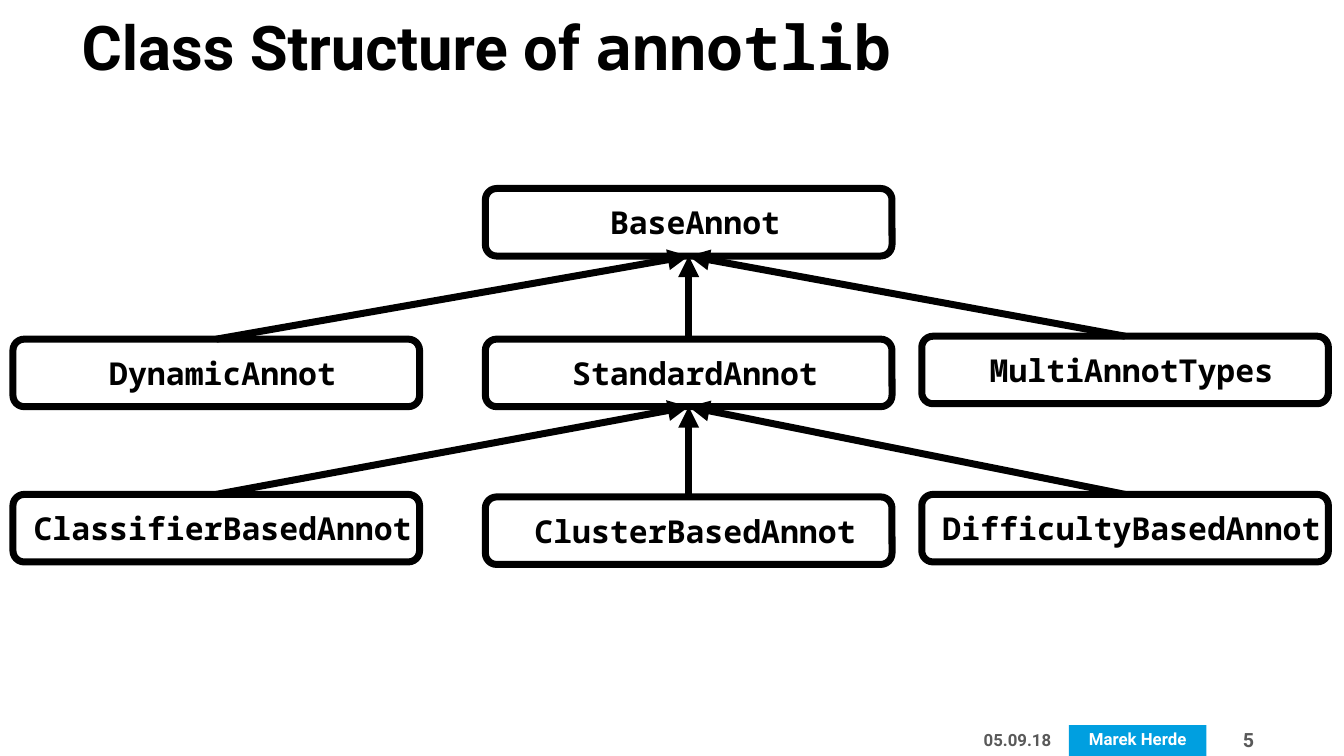
from dataclasses import dataclass

from lxml.etree import SubElement
from pptx import Presentation
from pptx.dml.color import RGBColor
from pptx.enum.shapes import MSO_CONNECTOR as Connector, MSO_SHAPE as Shape
from pptx.enum.text import MSO_ANCHOR as Anchor, MSO_AUTO_SIZE as AutoSize, PP_ALIGN as Align
from pptx.oxml.ns import qn
from pptx.util import Pt


@dataclass(frozen=True)
class Theme:
    black: RGBColor = RGBColor(0, 0, 0)
    white: RGBColor = RGBColor(255, 255, 255)
    gray: RGBColor = RGBColor(0x59, 0x59, 0x59)
    accent: RGBColor = RGBColor(0x00, 0x9F, 0xE0)
    sans: str = "Roboto"
    mono: str = "Noto Sans Mono"
    title_size: int = 88
    class_size: int = 45
    number_size: int = 28
    footer_size: int = 24
    stroke: int = 10


THEME = Theme()
CLASS_WIDTH, CLASS_HEIGHT = 581, 96.5
COLUMNS = (0, 675, 1298.5)
CLASSES = {
    "BaseAnnot": (1, 0, None),
    "DynamicAnnot": (0, 215.2, "BaseAnnot"),
    "StandardAnnot": (1, 215.2, "BaseAnnot"),
    "MultiAnnotTypes": (2, 211, "BaseAnnot"),
    "ClassifierBasedAnnot": (0, 437, "StandardAnnot"),
    "ClusterBasedAnnot": (1, 440.6, "StandardAnnot"),
    "DifficultyBasedAnnot": (2, 437, "StandardAnnot"),
}


def add_run(paragraph, text, size, color, font=THEME.sans):
    run = paragraph.add_run()
    run.text = text
    run.font.name = font
    run.font.size = Pt(size)
    run.font.bold = True
    run.font.color.rgb = color


def set_frame(shape, margins=(7.2, 3.6), align=Align.CENTER):
    frame = shape.text_frame
    frame.word_wrap = True
    frame.auto_size = AutoSize.NONE
    frame.vertical_anchor = Anchor.MIDDLE
    frame.margin_left = frame.margin_right = Pt(margins[0])
    frame.margin_top = frame.margin_bottom = Pt(margins[1])
    paragraph = frame.paragraphs[0]
    paragraph.alignment = align
    return paragraph


def fill_title(slide, left, top, width, height):
    title = slide.shapes.title
    title.left, title.top, title.width, title.height = map(Pt, (left, top, width, height))
    paragraph = set_frame(title, align=Align.LEFT)
    add_run(paragraph, "Class Structure of ", THEME.title_size, THEME.black)
    add_run(paragraph, "annotlib", THEME.title_size, THEME.black, THEME.mono)


def add_class(slide, name, left, top):
    shape = slide.shapes.add_shape(
        Shape.ROUNDED_RECTANGLE, Pt(left), Pt(top), Pt(CLASS_WIDTH), Pt(CLASS_HEIGHT))
    shape.shadow.inherit = False
    shape.fill.solid()
    shape.fill.fore_color.rgb = THEME.white
    shape.line.color.rgb = THEME.black
    shape.line.width = Pt(THEME.stroke)
    paragraph = set_frame(shape, (4.3, 4.3))
    paragraph.space_before = Pt(12)
    properties = paragraph._p.get_or_add_pPr()
    properties.set("marL", str(Pt(18)))
    properties.set("indent", "0")
    add_run(paragraph, name, THEME.class_size, THEME.black, THEME.mono)
    return shape


def add_inheritance(slide, child, parent):
    connector = slide.shapes.add_connector(Connector.STRAIGHT, 0, 0, 0, 0)
    connector.begin_connect(child, 0)
    connector.end_connect(parent, 2)
    connector.line.color.rgb = THEME.black
    connector.line.width = Pt(THEME.stroke)
    SubElement(connector.line._get_or_add_ln(), qn("a:tailEnd"), type="triangle")
    SubElement(connector._element.spPr, qn("a:effectLst"))


def add_class_tree(slide, left, top):
    boxes = {
        name: add_class(slide, name, left + COLUMNS[column], top + offset)
        for name, (column, offset, _) in CLASSES.items()
    }
    for name, (_, _, parent) in CLASSES.items():
        if parent:
            add_inheritance(slide, boxes[name], boxes[parent])


def add_label(slide, text, box, size, color, margins=(7.2, 3.6), align=Align.CENTER):
    label = slide.shapes.add_textbox(*map(Pt, box))
    add_run(set_frame(label, margins, align), text, size, color)


def add_footer(slide, left, top, height):
    author_left, author_width = left + 181.4, 196.6
    band = slide.shapes.add_shape(
        Shape.RECTANGLE, Pt(author_left), Pt(top), Pt(author_width), Pt(height))
    band.shadow.inherit = False
    band.fill.solid()
    band.fill.fore_color.rgb = THEME.accent
    band.line.fill.background()
    add_label(slide, "5", (left + 406, top + 2.9, 64, 35.3),
              THEME.number_size, THEME.gray, margins=(0, 0))
    add_label(slide, "05.09.18", (left, top + 2.9, 163.4, 36.7),
              THEME.footer_size, THEME.gray, align=Align.RIGHT)
    add_label(slide, "Marek Herde", (author_left, top, author_width, 38.2),
              THEME.footer_size, THEME.white)


def main():
    presentation = Presentation()
    presentation.slide_width = Pt(1920.24)
    presentation.slide_height = Pt(1080)
    slide = presentation.slides.add_slide(presentation.slide_layouts[5])
    fill_title(slide, 109.4, 21.6, 1525, 87.8)
    add_class_tree(slide, 18.5, 269.3)
    add_footer(slide, 1345.7, 1036, 44)
    presentation.save("out.pptx")


if __name__ == "__main__":
    main()
